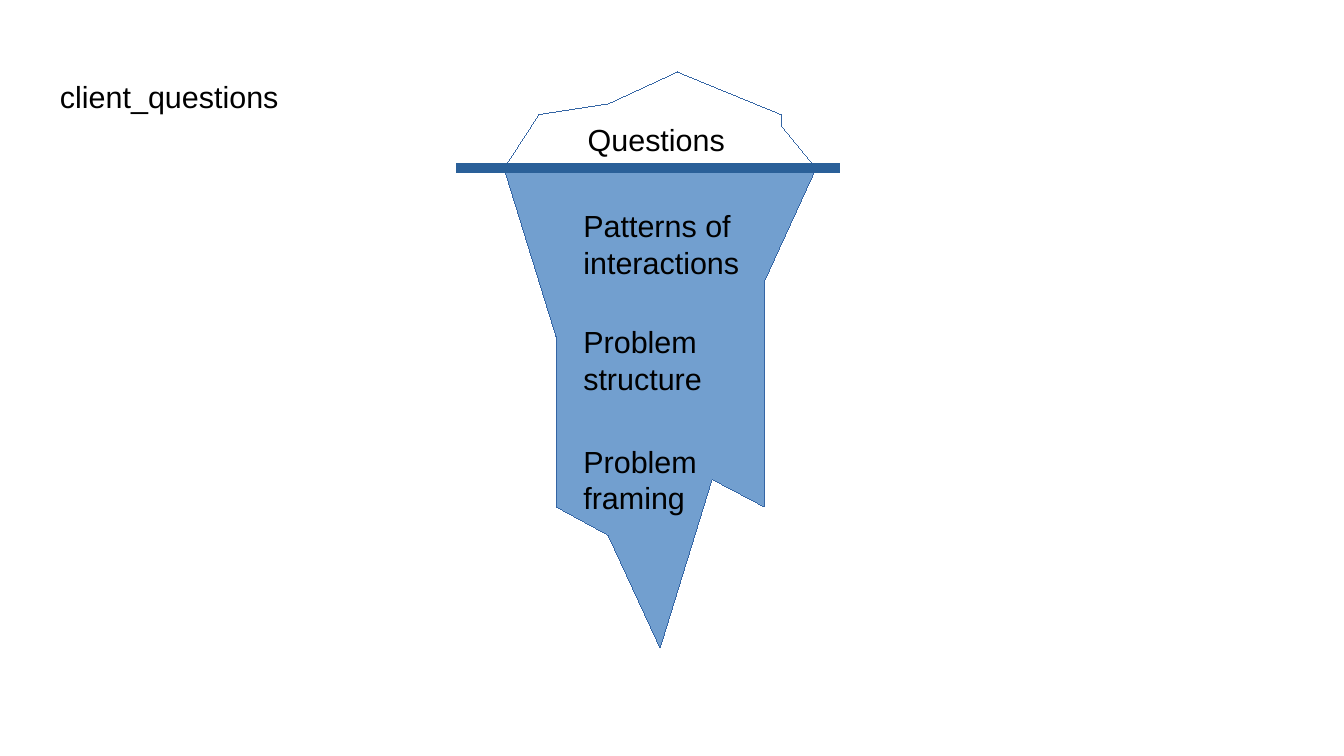
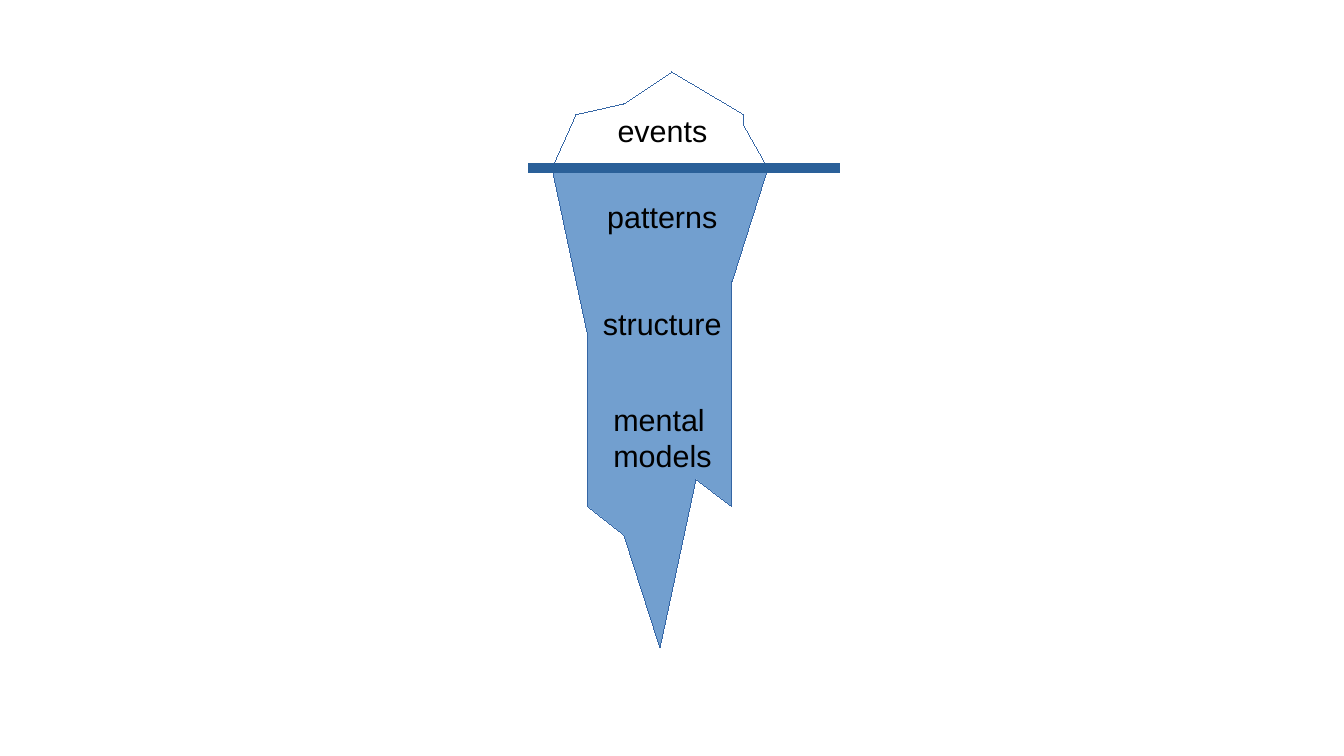
from lxml.etree import SubElement
from pptx import Presentation
from pptx.dml.color import RGBColor
from pptx.enum.shapes import MSO_CONNECTOR as Connector
from pptx.enum.text import MSO_AUTO_SIZE as AutoSize
from pptx.oxml.ns import qn
from pptx.util import Pt

COLORS = {"ice": "FFFFFF", "depth": "729FCF", "outline": "3465A4",
          "water": "2A6099", "text": "000000"}
FONT, FONT_SIZE = "Arial", 18
SLIDE_WIDTH, SLIDE_HEIGHT = 793.44, 446.4
WATERLINE = 99.3
WATER_RIGHT, WATER_WEIGHT = 496, 5.67
HAIRLINE = 0.01
ONE_LINE, TWO_LINES = 27.4, 47.5

DEPTH_OUTLINE = [(1, WATERLINE), (0, WATERLINE), (1 / 6, 198.6), (1 / 6, 299.2),
                 (1 / 3, 316), (1 / 2, 382.5), (2 / 3, 283), (5 / 6, 299.2),
                 (5 / 6, 166.4)]
TIP_OUTLINE = [(0, WATERLINE), (1 / 9, 67.7), (1 / 3, 61.4), (5 / 9, 42.5),
               (8 / 9, 67.7), (8 / 9, 74.2), (1, WATERLINE)]

ICEBERGS = [
    {"left": 297.6, "width": 184.2, "water_left": 269.3, "labels": [
        (["client_questions"], 28.3, 42.5, 143.8, ONE_LINE, False),
        (["Questions"], 339.9, 68, 97, ONE_LINE, False),
        (["Patterns of", "interactions"], 337.3, 119, 124.7, TWO_LINES, True),
        (["Problem structure"], 337.3, 187.2, 124.7, TWO_LINES, True),
        (["Problem framing"], 337.3, 258, 124.7, TWO_LINES, True),
    ]},
    {"left": 325.9, "width": 127.5, "water_left": 311.8, "labels": [
        (["events"], 357.5, 62.6, 69, ONE_LINE, False),
        (["patterns"], 351.4, 113.4, 80, ONE_LINE, False),
        (["structure"], 348.9, 176.7, 85, ONE_LINE, False),
        (["mental", "models"], 355, 233.1, 74, TWO_LINES, False),
    ]},
]


def rgb(name):
    return RGBColor.from_string(COLORS[name])


def add_ice(slide, iceberg, outline, color):
    points = [(Pt(iceberg["left"] + iceberg["width"] * share), Pt(y))
              for share, y in outline]
    builder = slide.shapes.build_freeform(*points[0])
    builder.add_line_segments(points[1:], close=True)
    ice = builder.convert_to_shape()
    ice.shadow.inherit = False
    ice.fill.solid()
    ice.fill.fore_color.rgb = rgb(color)
    ice.line.color.rgb = rgb("outline")
    ice.line.width = Pt(HAIRLINE)


def add_waterline(slide, left):
    water = slide.shapes.add_connector(
        Connector.STRAIGHT, Pt(left), Pt(WATERLINE), Pt(WATER_RIGHT), Pt(WATERLINE))
    water.line.color.rgb = rgb("water")
    water.line.width = Pt(WATER_WEIGHT)
    SubElement(water.element.spPr, qn("a:effectLst"))


def add_label(slide, lines, left, top, width, height, wrap):
    frame = slide.shapes.add_textbox(Pt(left), Pt(top), Pt(width), Pt(height)).text_frame
    frame.word_wrap = wrap
    frame.auto_size = AutoSize.SHAPE_TO_FIT_TEXT
    for index, line in enumerate(lines):
        paragraph = frame.add_paragraph() if index else frame.paragraphs[0]
        run = paragraph.add_run()
        run.text = line
        run.font.name = FONT
        run.font.size = Pt(FONT_SIZE)
        run.font.color.rgb = rgb("text")


def main():
    deck = Presentation()
    deck.slide_width, deck.slide_height = Pt(SLIDE_WIDTH), Pt(SLIDE_HEIGHT)
    for iceberg in ICEBERGS:
        slide = deck.slides.add_slide(deck.slide_layouts[6])
        add_ice(slide, iceberg, DEPTH_OUTLINE, "depth")
        add_ice(slide, iceberg, TIP_OUTLINE, "ice")
        add_waterline(slide, iceberg["water_left"])
        for label in iceberg["labels"]:
            add_label(slide, *label)
    deck.save("out.pptx")


if __name__ == "__main__":
    main()
